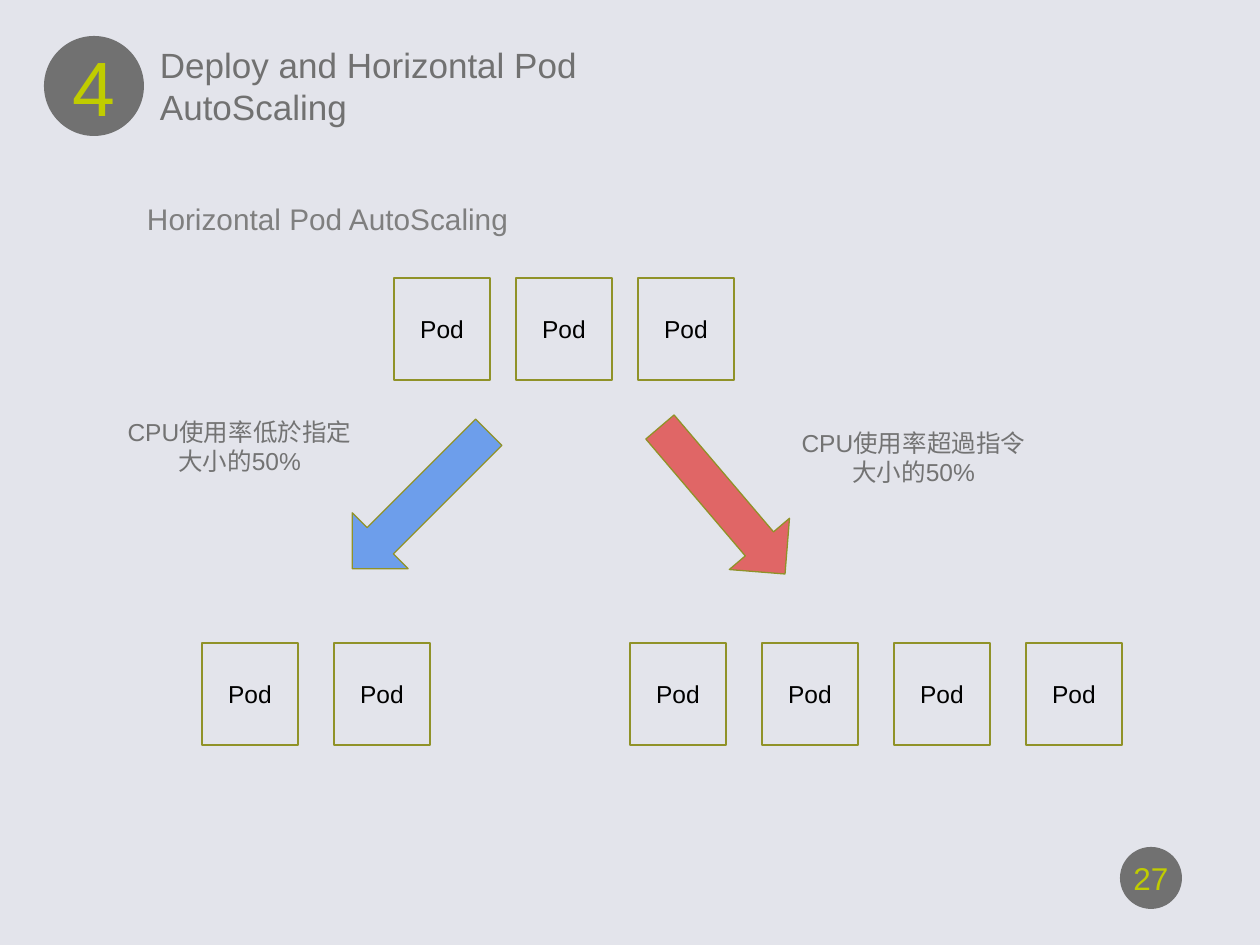
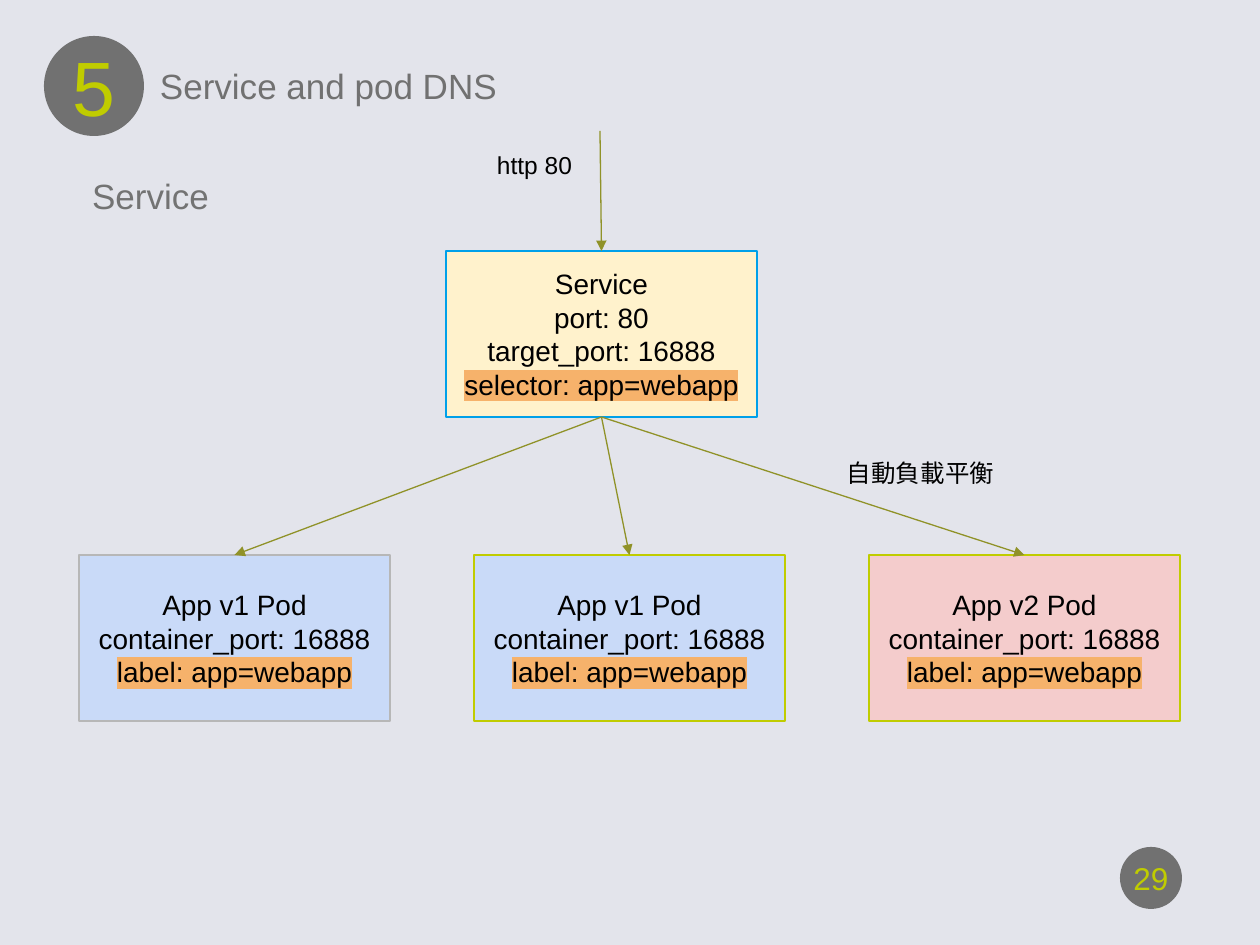
from pptx import Presentation
from pptx import util as u
from pptx.dml.color import RGBColor
from pptx.enum import shapes, text
from pptx.oxml import ns
from lxml import etree

SCALE = u.Inches(1) / 126
FONT = "Arial"
GROUND, GREY, LIME, OLIVE = "E3E4EB", "717171", "C0CC00", "909228"
BLACK, CAPTION, HEADING, MARKER = "000000", "737373", "7F7F7F", "F6B26B"
CENTER, LEFT = text.PP_ALIGN.CENTER, text.PP_ALIGN.LEFT
TOP, MIDDLE = text.MSO_ANCHOR.TOP, text.MSO_ANCHOR.MIDDLE
KINDS = shapes.MSO_SHAPE


def px(length):
    return u.Emu(round(length * SCALE))


def paint(target, color):
    if hasattr(target, "solid"):
        target.solid()
        target = target.fore_color
    target.rgb = RGBColor.from_string(color)


def highlight(span):
    properties = span._r.get_or_add_rPr()
    mark = etree.SubElement(properties, ns.qn("a:highlight"))
    etree.SubElement(mark, ns.qn("a:srgbClr"), val=MARKER)


def write(shape, lines, size, color, align=CENTER, anchor=MIDDLE, inset=13, marked=None):
    frame = shape.text_frame
    frame.word_wrap = True
    frame.vertical_anchor = anchor
    frame.margin_left = frame.margin_right = px(inset)
    frame.margin_top = frame.margin_bottom = px(inset)
    for index, line in enumerate(lines):
        para = frame.paragraphs[0] if index == 0 else frame.add_paragraph()
        para.alignment = align
        para.font.name = FONT
        para.font.size = u.Pt(size)
        paint(para.font.color, color)
        span = para.add_run()
        span.text = line
        if line == marked:
            highlight(span)


def add_label(page, box, line, size, color, **style):
    label = page.shapes.add_textbox(*map(px, box))
    write(label, [line], size, color, **style)


def add_figure(page, kind, box, fill, outline=None):
    figure = page.shapes.add_shape(kind, *map(px, box))
    figure.shadow.inherit = False
    paint(figure.fill, fill)
    if outline:
        paint(figure.line.color, outline)
        figure.line.width = u.Pt(0.75)
    else:
        figure.line.fill.background()
    return figure


def add_arrow_line(page, start, target, source=None):
    line = page.shapes.add_connector(shapes.MSO_CONNECTOR.STRAIGHT, *map(px, start + start))
    if source is not None:
        line.begin_connect(source, 2)
    line.end_connect(target, 0)
    paint(line.line.color, OLIVE)
    line.line.width = u.Pt(0.75)
    properties = line._element.spPr
    etree.SubElement(properties.find(ns.qn("a:ln")), ns.qn("a:tailEnd"), type="triangle")
    etree.SubElement(properties, ns.qn("a:effectLst"))


def add_badge(page, box, number, size):
    badge = add_figure(page, KINDS.OVAL, box, GREY)
    write(badge, [number], size, LIME, inset=0)
    badge.text_frame.word_wrap = False


def add_page(deck, chapter, title, number):
    page = deck.slides.add_slide(deck.slide_layouts[6])
    paint(page.background.fill, GROUND)
    add_badge(page, (44, 36, 100, 100), chapter, 44)
    add_badge(page, (1120, 847, 62, 62), number, 18)
    add_label(page, (160, 46, 564, 79), title, 20, GREY, align=LEFT, inset=0)
    return page


def add_pod_row(page, left, top, count, step):
    for index in range(count):
        pod = add_figure(page, KINDS.RECTANGLE, (left + index * step, top, 96, 102), GROUND, OLIVE)
        write(pod, ["Pod"], 14, BLACK)


def add_scaling_arrow(page, left, top, angle, color):
    arrow = add_figure(page, KINDS.RIGHT_ARROW, (left, top, 193, 79), color, OLIVE)
    arrow.rotation = angle
    arrow.adjustments[0] = 0.47


def add_card(page, left, top, lines, fill, outline):
    card = add_figure(page, KINDS.RECTANGLE, (left, top, 311, 166), fill, outline)
    write(card, lines, 16, BLACK, marked=lines[-1])
    return card


def build_autoscaling(deck):
    page = add_page(deck, "4", "Deploy and Horizontal Pod AutoScaling", "27")
    add_label(page, (134, 189, 1012, 60), "Horizontal Pod AutoScaling", 17, HEADING,
              align=LEFT)
    add_pod_row(page, 394, 278, 3, 122)
    add_scaling_arrow(page, 324, 461, 135, "6D9EEB")
    add_scaling_arrow(page, 626, 461, 49.6, "E06666")
    add_pod_row(page, 202, 643, 2, 132)
    add_pod_row(page, 630, 643, 4, 132)
    add_label(page, (782, 415, 263, 79), "CPU使用率超過指令大小的50%", 14, CAPTION, anchor=TOP)
    add_label(page, (108, 404, 263, 89), "CPU使用率低於指定大小的50%", 14, CAPTION, anchor=TOP)


def build_service(deck):
    page = add_page(deck, "5", "Service and pod DNS", "29")
    service = add_card(page, 446, 251,
                       ["Service", "port: 80", "target_port: 16888", "selector: app=webapp"],
                       "FFF2CC", "00A0E9")
    pods = [("v1", "C9DAF8", "B7B7B7"), ("v1", "C9DAF8", LIME), ("v2", "F4CCCC", LIME)]
    for index, (version, fill, outline) in enumerate(pods):
        lines = [f"App {version} Pod", "container_port: 16888", "label: app=webapp"]
        pod = add_card(page, 79 + index * 395, 555, lines, fill, outline)
        add_arrow_line(page, (602, 417), pod, service)
    add_arrow_line(page, (600, 131), service)
    for box, line, size, color in [
        ((484, 137, 116, 40), "http 80", 14, BLACK),
        ((834, 445, 200, 40), "自動負載平衡", 14, BLACK),
        ((79, 161, 185, 69), "Service", 20, CAPTION),
    ]:
        add_label(page, box, line, size, color, align=LEFT, anchor=TOP)


def main():
    deck = Presentation()
    deck.slide_width, deck.slide_height = px(1260), px(945)
    build_autoscaling(deck)
    build_service(deck)
    deck.save("out.pptx")


if __name__ == "__main__":
    main()
